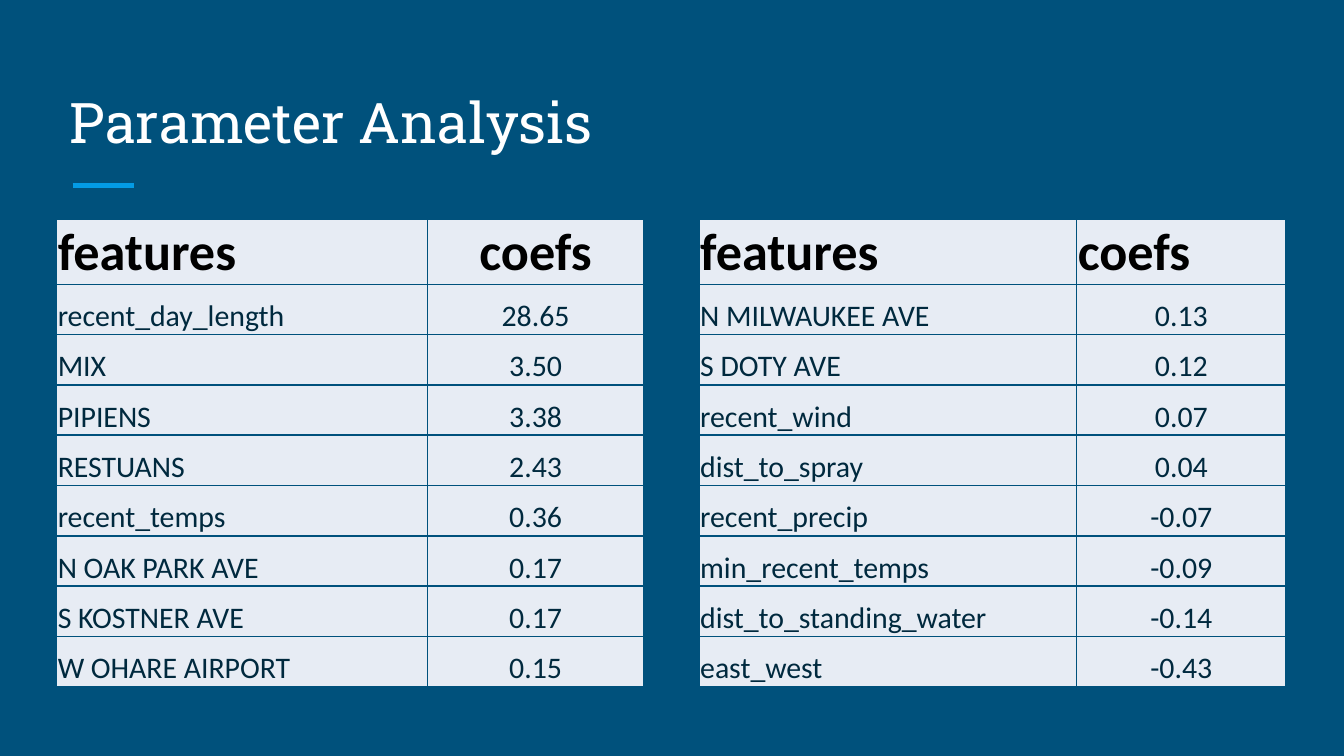
from lxml import etree
from pptx import Presentation
from pptx import util as u
from pptx.dml.color import RGBColor
from pptx.enum import shapes, text
from pptx.oxml import ns

NAVY = RGBColor(0x00, 0x51, 0x7C)
SKY = RGBColor(0x03, 0x9B, 0xE5)
WHITE = RGBColor(0xFF, 0xFF, 0xFF)
BLACK = RGBColor(0x00, 0x00, 0x00)
INK = RGBColor(0x00, 0x29, 0x3E)
PALE = RGBColor(0xE7, 0xEC, 0xF4)

SLIDE_WIDTH = 10
SLIDE_HEIGHT = SLIDE_WIDTH * 9 / 16
LEFT, WIDTH = 0.42, 9.15
TABLE_TOP, TABLE_WIDTH = 1.63, 4.37
ROW_HEIGHT = 3.37 / 9

STRONGEST = [
    ("recent_day_length", "28.65"),
    ("MIX", "3.50"),
    ("PIPIENS", "3.38"),
    ("RESTUANS", "2.43"),
    ("recent_temps", "0.36"),
    ("N OAK PARK AVE", "0.17"),
    ("S KOSTNER AVE", "0.17"),
    ("W OHARE AIRPORT", "0.15"),
]
WEAKER = [
    ("N MILWAUKEE AVE", "0.13"),
    ("S DOTY AVE", "0.12"),
    ("recent_wind", "0.07"),
    ("dist_to_spray", "0.04"),
    ("recent_precip", "-0.07"),
    ("min_recent_temps", "-0.09"),
    ("dist_to_standing_water", "-0.14"),
    ("east_west", "-0.43"),
]


def add_run(p, content, font, size, color, bold=False):
    r = p.add_run()
    r.text = content
    r.font.name, r.font.size, r.font.bold = font, u.Pt(size), bold
    r.font.color.rgb = color


def add_title(s, content):
    title = s.shapes.title
    title.left, title.top = u.Inches(LEFT), u.Inches(0.5)
    title.width, title.height = u.Inches(WIDTH), u.Inches(0.75)
    tf = title.text_frame
    tf.margin_left = tf.margin_right = u.Inches(0.1)
    tf.margin_top = tf.margin_bottom = u.Inches(0.1)
    tf.vertical_anchor = text.MSO_ANCHOR.BOTTOM
    tf.auto_size = text.MSO_AUTO_SIZE.NONE
    p = tf.paragraphs[0]
    p.alignment = text.PP_ALIGN.LEFT
    add_run(p, content, "Roboto Slab", 30, WHITE)


def add_rule(s, x1, x2, y):
    rule = s.shapes.add_connector(
        shapes.MSO_CONNECTOR.STRAIGHT, *map(u.Inches, (x1, y, x2, y)))
    rule.line.color.rgb = SKY
    rule.line.width = u.Pt(3)
    etree.SubElement(rule._element.spPr, ns.qn("a:effectLst"))


def add_borders(cell, color, width):
    tc_pr = cell._tc.get_or_add_tcPr()
    for side in ("lnL", "lnR", "lnT", "lnB"):
        line = etree.SubElement(tc_pr, ns.qn(f"a:{side}"), w=str(u.Pt(width)))
        fill = etree.SubElement(line, ns.qn("a:solidFill"))
        etree.SubElement(fill, ns.qn("a:srgbClr"), val=str(color))


def fill_cell(cell, content, align, header):
    add_borders(cell, NAVY, 1)
    cell.fill.solid()
    cell.fill.fore_color.rgb = PALE
    cell.margin_left = cell.margin_right = cell.margin_top = u.Inches(0.01)
    cell.margin_bottom = 0
    cell.vertical_anchor = text.MSO_ANCHOR.BOTTOM
    p = cell.text_frame.paragraphs[0]
    p.alignment = align
    size, color = (28, BLACK) if header else (16, INK)
    add_run(p, content, "Calibri", size, color, header)


def add_coef_table(s, left, feature_width, coefs, header_align):
    rows = [("features", "coefs")] + coefs
    table = s.shapes.add_table(
        len(rows), 2, u.Inches(left), u.Inches(TABLE_TOP),
        u.Inches(TABLE_WIDTH), u.Inches(ROW_HEIGHT * len(rows))).table
    table.horz_banding = False
    table.columns[0].width = u.Inches(feature_width)
    table.columns[1].width = u.Inches(TABLE_WIDTH - feature_width)
    for i, (feature, coef) in enumerate(rows):
        header = i == 0
        coef_align = header_align if header else text.PP_ALIGN.CENTER
        fill_cell(table.cell(i, 0), feature, text.PP_ALIGN.LEFT, header)
        fill_cell(table.cell(i, 1), coef, coef_align, header)


def main():
    prs = Presentation()
    prs.slide_width = u.Inches(SLIDE_WIDTH)
    prs.slide_height = u.Inches(SLIDE_HEIGHT)
    s = prs.slides.add_slide(prs.slide_layouts[5])
    s.background.fill.solid()
    s.background.fill.fore_color.rgb = NAVY

    # Heading
    add_rule(s, 0.54, 1, 1.38)
    add_title(s, "Parameter Analysis")

    # Tables aligned with the two edges of the title
    add_coef_table(s, LEFT, 2.76, STRONGEST, text.PP_ALIGN.CENTER)
    add_coef_table(s, LEFT + WIDTH - TABLE_WIDTH, 2.81, WEAKER,
                   text.PP_ALIGN.LEFT)

    prs.save("out.pptx")


if __name__ == "__main__":
    main()
